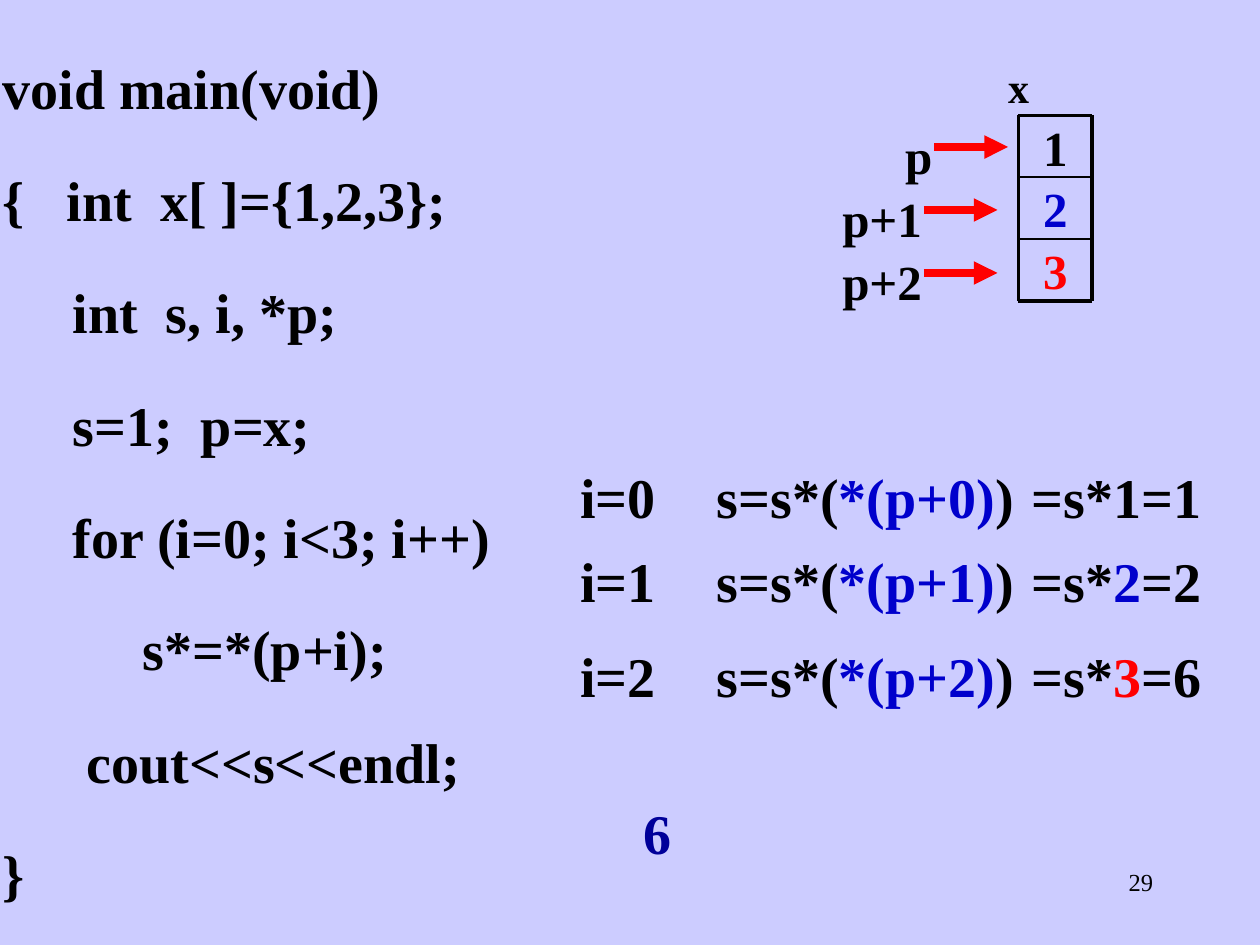
from lxml import etree
from pptx import Presentation
from pptx.dml.color import RGBColor
from pptx.enum.shapes import MSO_CONNECTOR
from pptx.enum.text import MSO_ANCHOR, PP_ALIGN
from pptx.oxml.ns import qn
from pptx.util import Pt

LEFT, CENTER, RIGHT = PP_ALIGN.LEFT, PP_ALIGN.CENTER, PP_ALIGN.RIGHT
TOP, BOTTOM = MSO_ANCHOR.TOP, MSO_ANCHOR.BOTTOM
STRAIGHT = MSO_CONNECTOR.STRAIGHT
FONT = "Times New Roman"
COLORS = {"back": "CCCCFF", "black": "000000", "blue": "0000CC",
          "navy": "000099", "red": "FF0000"}


def add_text(box, lines, size=32, align=LEFT, anchor=TOP, spacing=1.15,
             bold=True, inset=(1.5, 0.75)):
    """Add a text box; each line is a list of (text, colour) runs."""
    sp = slide.shapes.add_textbox(*[Pt(v) for v in box])
    tf = sp.text_frame
    tf.word_wrap = True
    tf.vertical_anchor = anchor
    tf.margin_left = tf.margin_right = Pt(inset[0])
    tf.margin_top = tf.margin_bottom = Pt(inset[1])
    for i, runs in enumerate(lines):
        p = tf.add_paragraph() if i else tf.paragraphs[0]
        p.alignment = align
        p.line_spacing = spacing
        if i:
            p.space_before = Pt(20)
        for text, color in runs:
            r = p.add_run()
            r.text = text
            r.font.name = FONT
            r.font.size = Pt(size)
            r.font.bold = bold
            r.font.color.rgb = RGBColor.from_string(COLORS[color])


def add_line(x1, y1, x2, y2, width, color="black", arrow=False):
    line = slide.shapes.add_connector(STRAIGHT, Pt(x1), Pt(y1), Pt(x2), Pt(y2))
    line.line.width = Pt(width)
    line.line.color.rgb = RGBColor.from_string(COLORS[color])
    if arrow:
        etree.SubElement(line.line._get_or_add_ln(), qn("a:tailEnd"), type="triangle")
    etree.SubElement(line._element.spPr, qn("a:effectLst"))


prs = Presentation()
prs.slide_width, prs.slide_height = Pt(720), Pt(540)
slide = prs.slides.add_slide(prs.slide_layouts[6])
slide.background.fill.solid()
slide.background.fill.fore_color.rgb = RGBColor.from_string(COLORS["back"])

# Slide number
add_text((516, 492, 150, 36), [[("29", "black")]], size=14, align=RIGHT,
         spacing=1.0, bold=False, inset=(7.2, 3.6))

# Program listing and its output
code = [
    "void main(void)",
    "{   int  x[ ]={1,2,3};",
    "     int  s, i, *p;",
    "     s=1;  p=x;",
    "     for (i=0; i<3; i++)",
    "          s*=*(p+i);",
    "      cout<<s<<endl;",
    "}",
]
add_text((0, 24, 348, 479.5), [[(line, "black")] for line in code])
add_text((366, 450, 102, 44), [[("6", "navy")]])

# Array x: values, then rules
x_left, x_top, cell_w, cell_h = 582, 66, 42, 35.33
x_right, x_bottom = x_left + cell_w, x_top + 3 * cell_h
value_colors = ["black", "blue", "red"]
for i, color in enumerate(value_colors):
    add_text((x_left, x_top + i * cell_h, cell_w, cell_h), [[(str(i + 1), color)]],
             size=28, align=CENTER, anchor=BOTTOM, spacing=1.0)
for i, width in enumerate([2.25, 1, 1, 2.25]):
    y = x_top + i * cell_h
    add_line(x_left, y, x_right, y, width)
for x in (x_left, x_right):
    add_line(x, x_top, x, x_bottom, 2.25)
add_text((570, 30, 24, 33), [[("x", "black")]], size=24, align=CENTER)

# Pointers into the array
pointers = [("p", 510, 30, 534), ("p+1", 474, 60, 528), ("p+2", 474, 60, 528)]
for i, (label, left, width, start) in enumerate(pointers):
    top = 66 + 36 * i
    add_text((left, top, width, 39), [[(label, "black")]], size=28, align=CENTER)
    add_line(start, top + 18, start + 42, top + 18, 4.5, "red", arrow=True)

# Trace of the loop
products = [1, 2, 6]
for i, top in enumerate([258, 306, 360]):
    cells = [
        (330, 54, [(f"i={i}", "black")]),
        (408, 174, [("s=s*(", "black"), (f"*(p+{i})", "blue"), (")", "black")]),
        (588, 114, [("=s*", "black"), (str(i + 1), value_colors[i]),
                    (f"={products[i]}", "black")]),
    ]
    for left, width, runs in cells:
        add_text((left, top, width, 44), [runs])

prs.save("out.pptx")
